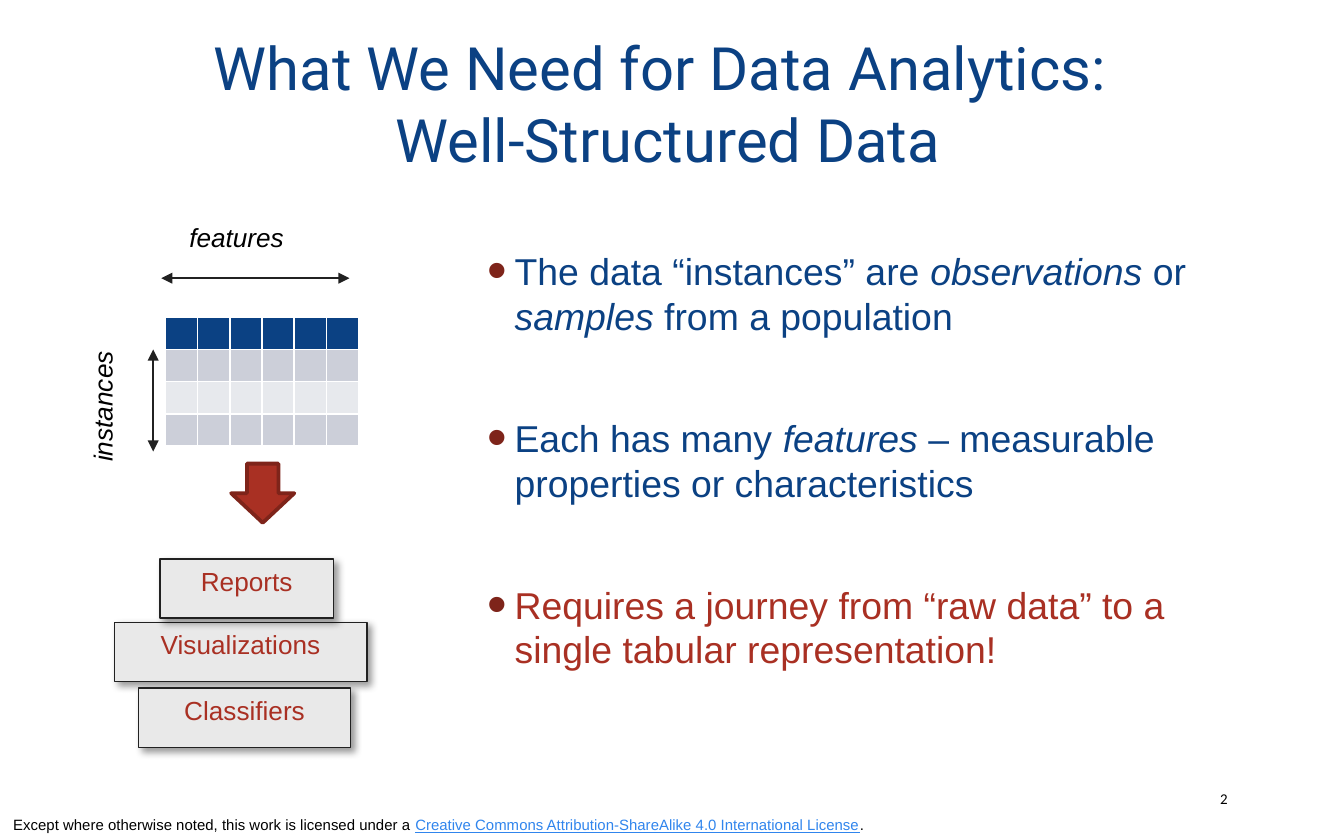
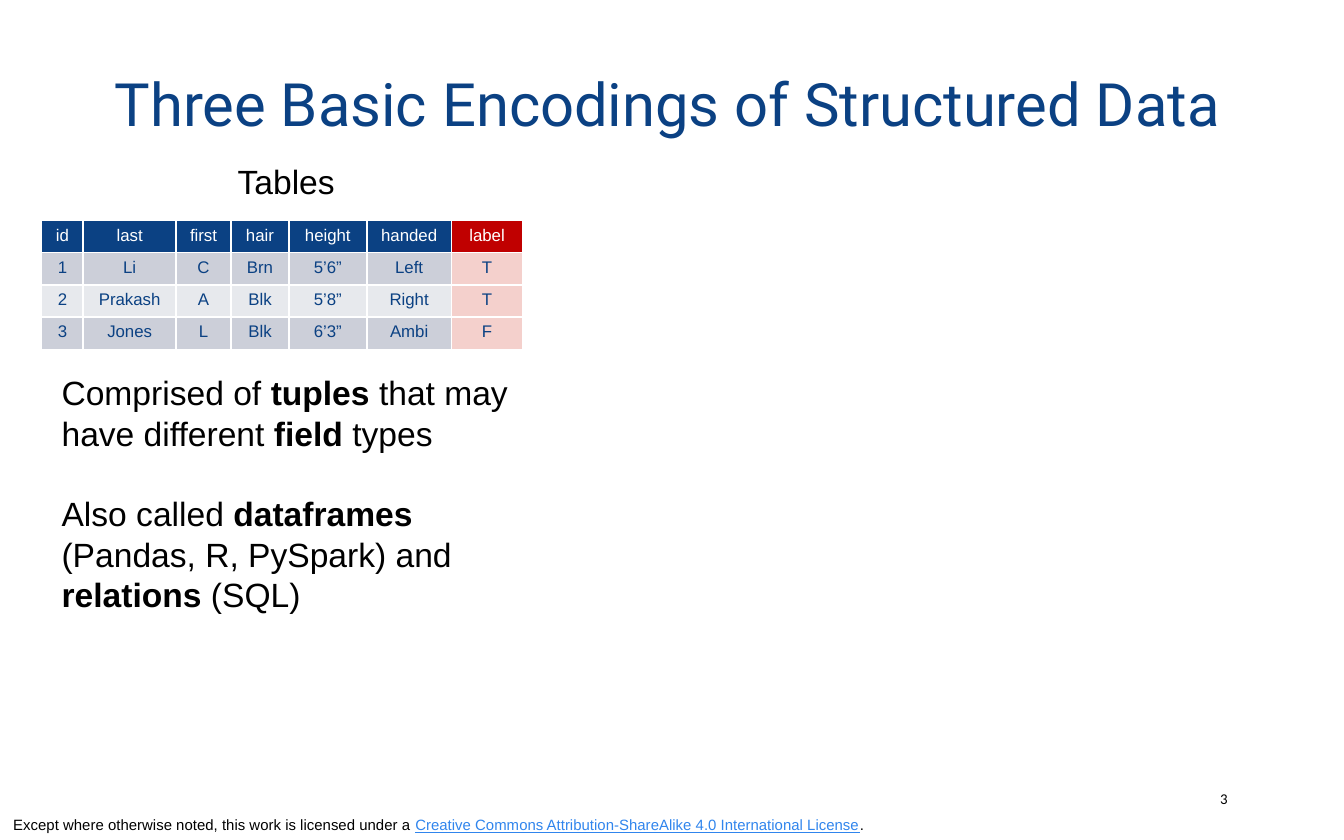
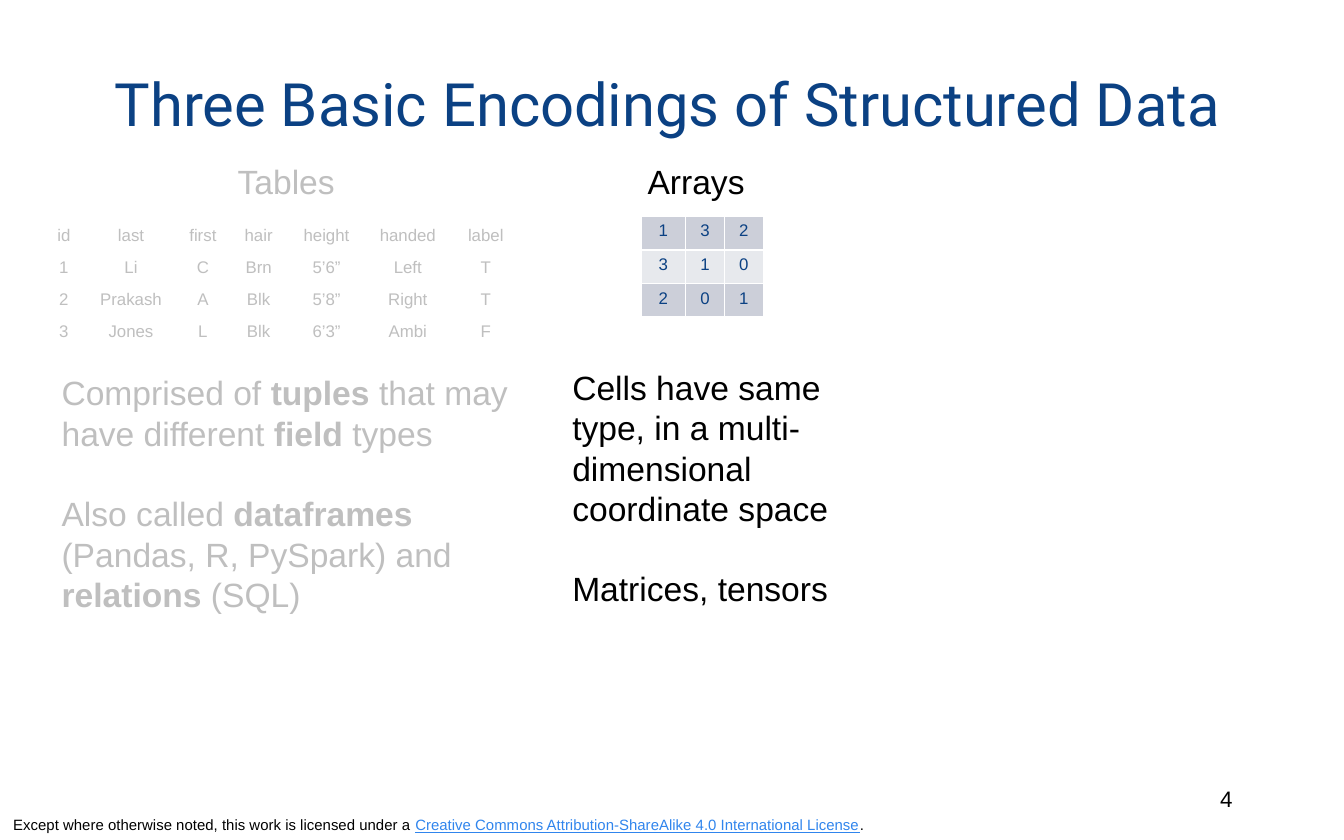
from lxml.etree import SubElement
from pptx import Presentation
from pptx.dml.color import RGBColor
from pptx.enum.shapes import MSO_CONNECTOR, MSO_SHAPE
from pptx.enum.text import MSO_ANCHOR, PP_ALIGN
from pptx.oxml import parse_xml
from pptx.oxml.ns import nsdecls, qn
from pptx.util import Inches, Pt

COLORS = {
    "navy": "0B4183", "black": "000000", "white": "FFFFFF", "faded": "BFBFBF",
    "red": "A93023", "dark red": "7E241A", "line": "212121", "box": "E9E9E9",
    "band": "CCCFD9", "light band": "E7E9ED", "link": "3085ED",
    "label head": "C00000", "label": "F4D0CC",
}

# A paragraph is a list of (text, format) spans.
BOLD, ITALIC = {"bold": True}, {"italic": True}
FOOTER = [
    ("Except where otherwise noted, this work is licensed under a\u00a0".replace("\u00a0", " "), {}),
    ("Creative Commons Attribution-ShareAlike 4.0 International License",
     {"color": "link", "underline": True}),
    (".", {}),
]
STRUCTURED_TITLE = "What We Need for Data Analytics: \vWell-Structured Data"
ENCODINGS_TITLE = "Three Basic Encodings of Structured Data"
STRUCTURED_POINTS = [
    [("The data “instances” are ", {}), ("observations", ITALIC), (" or ", {}),
     ("samples", ITALIC), (" from a population", {})],
    [("Each has many ", {}), ("features", ITALIC),
     (" – measurable properties or characteristics", {})],
    [("Requires a journey from “raw data” to a single tabular representation!",
      {"color": "red"})],
]
# Text, left, top, width
OUTPUTS = [
    ("Visualizations", 0.85, 4.63, 1.88),
    ("Reports", 1.19, 4.16, 1.29),
    ("Classifiers", 1.03, 5.12, 1.58),
]
PEOPLE = [
    ["id", "last", "first", "hair", "height", "handed", "label"],
    ["1", "Li", "C", "Brn", "5’6”", "Left", "T"],
    ["2", "Prakash", "A", "Blk", "5’8”", "Right", "T"],
    ["3", "Jones", "L", "Blk", "6’3”", "Ambi", "F"],
]
PEOPLE_WIDTHS = [0.31, 0.69, 0.41, 0.43, 0.58, 0.63, 0.53]
FADED_WIDTHS = [0.33, 0.67, 0.4, 0.43, 0.58, 0.63, 0.53]
TABLES_TEXT = [
    [("Comprised of ", {}), ("tuples", BOLD), (" that may have different ", {}),
     ("field", BOLD), (" types", {})],
    [("Also called ", {}), ("dataframes", BOLD), (" (Pandas, R, PySpark) and ", {}),
     ("relations", BOLD), (" (SQL)", {})],
]
MATRIX = [["1", "3", "2"], ["3", "1", "0"], ["2", "0", "1"]]
MATRIX_WIDTHS = [0.33, 0.29, 0.29]
ARRAYS_TEXT = ["Cells have same type, in a multi-dimensional coordinate space",
               "Matrices, tensors"]


def rgb(name):
    return RGBColor.from_string(COLORS[name])


def add_bullet(para):
    properties = para._p.get_or_add_pPr()
    properties.set("marL", str(Inches(0.44)))
    properties.set("indent", str(Inches(-0.2)))
    color = SubElement(properties, qn("a:buClr"))
    SubElement(color, qn("a:srgbClr"), val=COLORS["dark red"])
    SubElement(properties, qn("a:buSzPct"), val="150000")
    SubElement(properties, qn("a:buFont"), typeface="Arial")
    SubElement(properties, qn("a:buChar"), char="•")


def write(frame, paragraphs, size=18, color="black", font="Arial", align=PP_ALIGN.LEFT,
          italic=False, gap=0, bullets=False):
    """Fill a text frame with a string, or with paragraphs of strings or spans."""
    if isinstance(paragraphs, str):
        paragraphs = [paragraphs]
    for index, spans in enumerate(paragraphs):
        para = frame.add_paragraph() if index else frame.paragraphs[0]
        if bullets:
            add_bullet(para)
        para.alignment = align
        if index:
            para.space_before = Pt(gap)
        for text, style in [(spans, {})] if isinstance(spans, str) else spans:
            for number, line in enumerate(text.split("\v")):
                if number:
                    para.add_line_break()
                span = para.add_run()
                span.text = line
                span.font.name = font
                span.font.size = Pt(size)
                span.font.bold = style.get("bold", False)
                span.font.italic = style.get("italic", italic)
                span.font.underline = style.get("underline", False)
                span.font.color.rgb = rgb(style.get("color", color))


def add_text(page, paragraphs, left, top, width, height, anchor=MSO_ANCHOR.TOP,
             inset=0.05, bottom=None, **style):
    box = page.shapes.add_textbox(*map(Inches, (left, top, width, height)))
    frame = box.text_frame
    frame.word_wrap = True
    frame.vertical_anchor = anchor
    frame.margin_top = Inches(inset)
    frame.margin_bottom = Inches(inset if bottom is None else bottom)
    write(frame, paragraphs, **style)
    return box


def add_grid(page, rows, widths, left, top, row_height, fill, color="navy", header=True):
    """Add a table; fill(row, column) names the colour of a cell, or is None."""
    table = page.shapes.add_table(
        len(rows), len(widths), Inches(left), Inches(top),
        Inches(sum(widths)), Inches(row_height * len(rows))).table
    table.first_row = header
    table.horz_banding = False
    for column, width in zip(table.columns, widths):
        column.width = Inches(width)
    for r, texts in enumerate(rows):
        table.rows[r].height = Inches(row_height)
        for c, text in enumerate(texts):
            cell = table.cell(r, c)
            cell.margin_left = cell.margin_right = Inches(0.05)
            cell.margin_top = cell.margin_bottom = Inches(0.04)
            name = fill(r, c)
            if name:
                cell.fill.solid()
                cell.fill.fore_color.rgb = rgb(name)
            else:
                cell.fill.background()
            if text:
                write(cell.text_frame, text, size=9, align=PP_ALIGN.CENTER,
                      color="white" if name in ("navy", "label head") else color)
            else:
                SubElement(cell.text_frame.paragraphs[0]._p, qn("a:endParaRPr"), sz="900")


def striped(row, column):
    return "band" if row % 2 == 0 else "light band"


def headed(row, column):
    return striped(row - 1, column) if row else "navy"


def labelled(row, column):
    if column == len(PEOPLE_WIDTHS) - 1:
        return "label" if row else "label head"
    return headed(row, column)


def unfilled(row, column):
    return None


def add_double_arrow(page, *ends):
    arrow = page.shapes.add_connector(MSO_CONNECTOR.STRAIGHT, *map(Inches, ends))
    arrow.line.color.rgb = rgb("line")
    arrow.line.width = Pt(0.75)
    line = arrow.line._get_or_add_ln()
    SubElement(line, qn("a:headEnd"), type="triangle")
    SubElement(line, qn("a:tailEnd"), type="triangle")
    SubElement(arrow._element.spPr, qn("a:effectLst"))


def add_block(page, kind, left, top, width, fill, line, line_width):
    block = page.shapes.add_shape(kind, *map(Inches, (left, top, width, 0.44)))
    block.shadow.inherit = False
    block.fill.solid()
    block.fill.fore_color.rgb = rgb(fill)
    block.line.color.rgb = rgb(line)
    block.line.width = Pt(line_width)
    return block


def add_output(page, text, left, top, width):
    box = add_block(page, MSO_SHAPE.RECTANGLE, left, top, width, "box", "line", 0.75)
    box._element.spPr.find(qn("a:effectLst")).append(parse_xml(
        f'<a:outerShdw {nsdecls("a")} blurRad="{Pt(4)}" dist="{Pt(3)}" dir="2700000" '
        f'rotWithShape="0"><a:srgbClr val="{COLORS["black"]}"><a:alpha val="40000"/>'
        '</a:srgbClr></a:outerShdw>'))
    box.text_frame.vertical_anchor = MSO_ANCHOR.TOP
    write(box.text_frame, text, size=14, color="red", align=PP_ALIGN.CENTER)


def add_page(deck, title, number, **number_style):
    """Add a slide with its title, number and licence line."""
    page = deck.slides.add_slide(deck.slide_layouts[6])
    add_text(page, title, 0.51, 0.17, 8.92, 1.19, anchor=MSO_ANCHOR.MIDDLE, inset=0.1,
             size=32, color="navy", font="Roboto", align=PP_ALIGN.CENTER)
    add_text(page, number, 8.98, 5.78, 0.45, 0.33, anchor=MSO_ANCHOR.MIDDLE, **number_style)
    add_text(page, [FOOTER], 0, 6.02, 7.5, 0.23, anchor=MSO_ANCHOR.BOTTOM, size=8)
    return page


def add_tables_column(page, widths, fill, color, cell_color, text_width):
    add_text(page, "Tables", 1.67, 1.15, 0.96, 0.4, color=color)
    add_grid(page, PEOPLE, widths, 0.31, 1.64, 0.24, fill, color=cell_color)
    add_text(page, TABLES_TEXT, 0.36, 2.72, text_width, 1.92, color=color, gap=21.6)


def build_structured_data(deck):
    page = add_page(deck, STRUCTURED_TITLE, "2", size=8, font="Calibri")
    add_text(page, STRUCTURED_POINTS, 3.29, 1.59, 6.15, 4.11, anchor=MSO_ANCHOR.MIDDLE,
             inset=0.1, bottom=0.55, size=20, color="navy", gap=41.4, bullets=True)
    add_grid(page, [[""] * 6] * 4, [0.24] * 6, 1.23, 2.36, 0.24, headed)
    add_double_arrow(page, 1.2, 2.07, 2.6, 2.07)
    add_double_arrow(page, 1.14, 2.6, 1.14, 3.36)
    add_text(page, "features", 1.31, 1.6, 1.21, 0.44, size=14, italic=True)
    instances = add_text(page, "instances", 0.14, 2.64, 1.35, 0.44, size=14, italic=True)
    instances.rotation = 270
    for output in OUTPUTS:
        add_output(page, *output)
    add_block(page, MSO_SHAPE.DOWN_ARROW, 1.72, 3.45, 0.47, "red", "dark red", 2)


def build_tables(deck):
    page = add_page(deck, ENCODINGS_TITLE, "3", size=8, font="Calibri")
    add_tables_column(page, PEOPLE_WIDTHS, labelled, "black", "navy", 3.85)


def build_arrays(deck):
    page = add_page(deck, ENCODINGS_TITLE, "4", size=12)
    add_tables_column(page, FADED_WIDTHS, unfilled, "faded", "faded", 3.69)
    add_text(page, "Arrays", 4.72, 1.15, 0.93, 0.4)
    add_grid(page, MATRIX, MATRIX_WIDTHS, 4.77, 1.61, 0.25, striped, header=False)
    add_text(page, ARRAYS_TEXT, 4.16, 2.68, 2.29, 1.92, gap=21.6)


def main():
    deck = Presentation()
    deck.slide_width, deck.slide_height = Inches(10), Inches(6.25)
    build_structured_data(deck)
    build_tables(deck)
    build_arrays(deck)
    deck.save("out.pptx")


if __name__ == "__main__":
    main()
